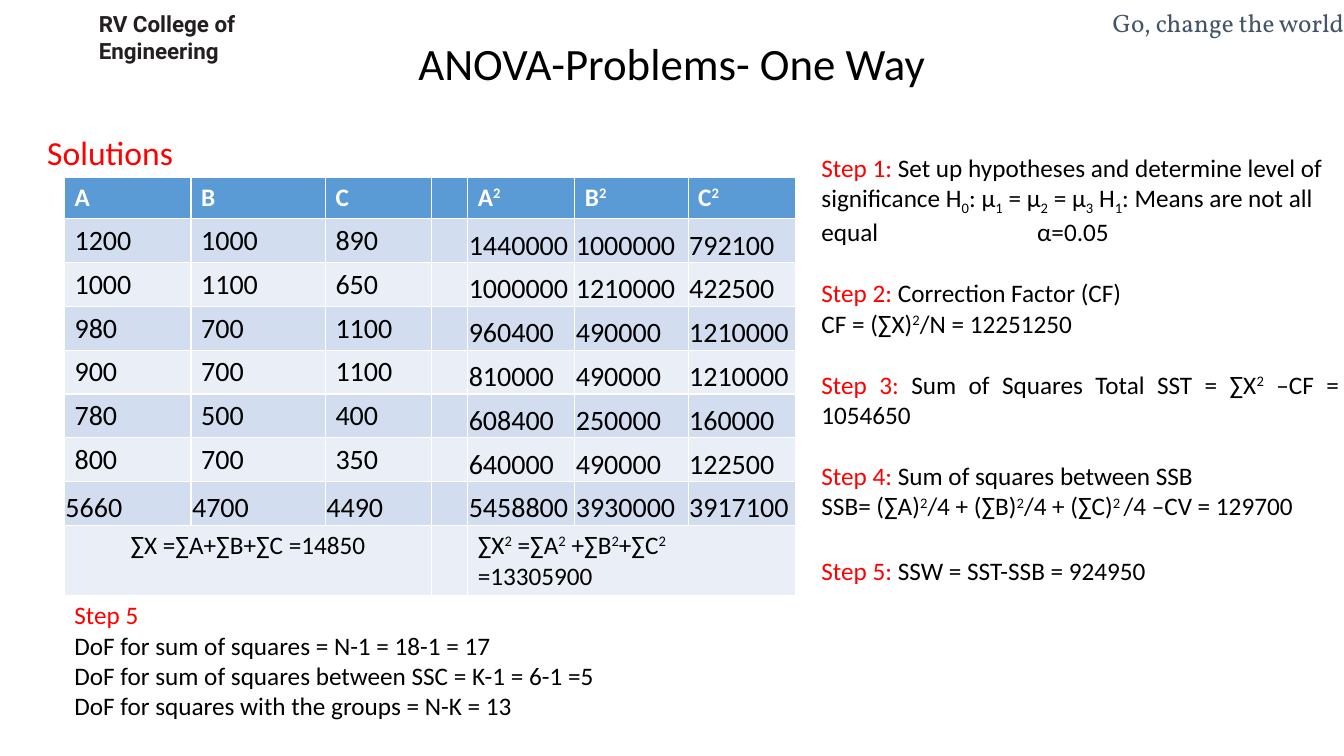
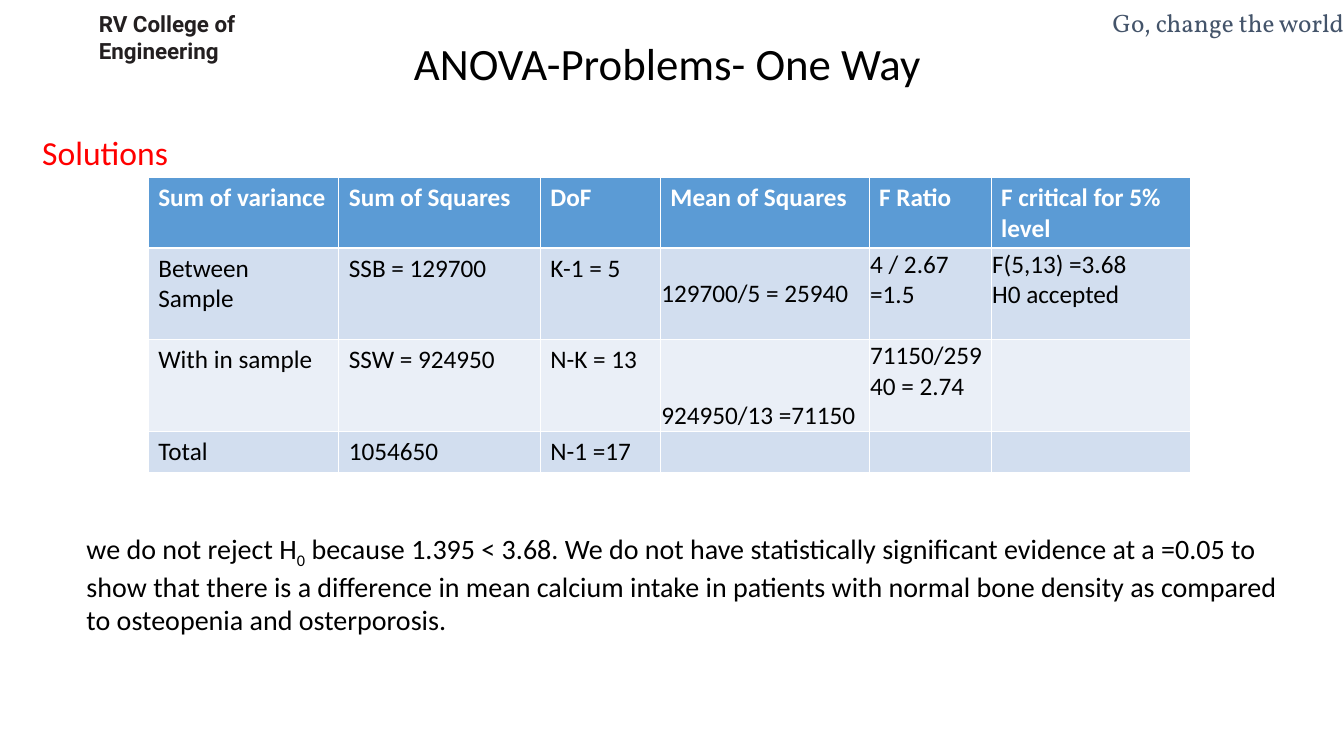
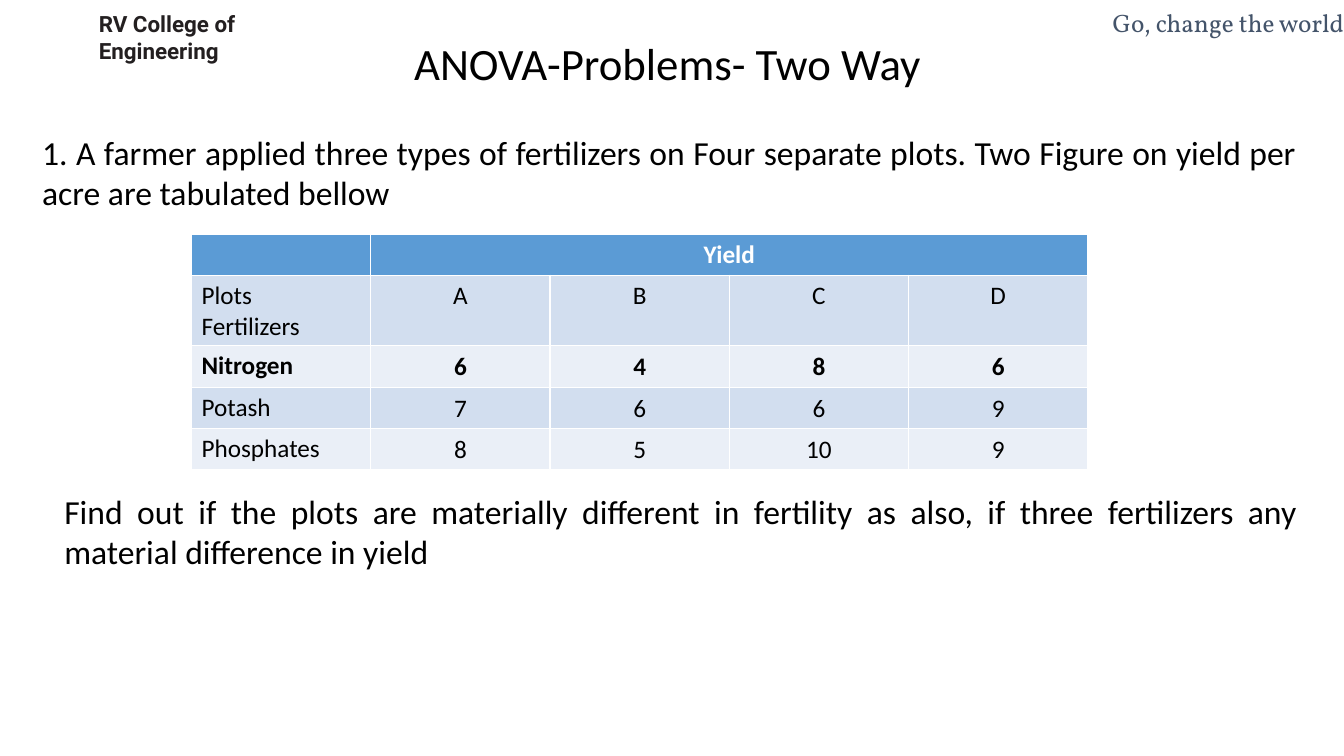
from dataclasses import dataclass
from itertools import product

from lxml.etree import SubElement
from pptx import Presentation
from pptx.dml.color import RGBColor
from pptx.enum.text import MSO_ANCHOR, MSO_AUTO_SIZE, PP_ALIGN
from pptx.oxml.ns import qn
from pptx.util import Inches, Pt


@dataclass(frozen=True)
class Theme:
    ink: str = "000000"
    accent: str = "FF0000"
    brand: str = "231F20"
    slogan: str = "44546A"
    header: str = "5B9BD5"
    header_text: str = "FFFFFF"
    bands: tuple = ("EAEFF7", "D2DEEF")
    title: int = 32
    lead: int = 24
    large: int = 20
    body: int = 18
    small: int = 16


theme = Theme()
deck = Presentation()
deck.slide_width = Inches(13.33)
deck.slide_height = Inches(7.5)
column = deck.slide_width / 100
row = deck.slide_height / 100


def write(frame, text, size=theme.body, color=theme.ink, font="Calibri", bold=False,
          align=PP_ALIGN.LEFT, first_align=None, gaps=None, leading=None, tab=None):
    for number, line in enumerate(text.split("\n")):
        para = frame.add_paragraph() if number else frame.paragraphs[0]
        para.alignment = align if number or first_align is None else first_align
        if tab and "\t" in line:
            stops = SubElement(para._p.get_or_add_pPr(), qn("a:tabLst"))
            SubElement(stops, qn("a:tab"), pos=str(round(tab * column)), algn="l")
        if leading:
            para.line_spacing = Pt(leading)
        if gaps and number in gaps:
            para.space_before = Pt(gaps[number])
        for part in line.split("|"):
            if not part:
                continue
            mark = part[0] if part[0] in "^_!" else ""
            span = para.add_run()
            span.text = part[len(mark):]
            span.font.name = font
            span.font.size = Pt(size)
            span.font.bold = bold
            span.font.color.rgb = RGBColor.from_string(theme.accent if mark == "!" else color)
            if mark in ("^", "_"):
                span.font._element.set("baseline", "30000" if mark == "^" else "-25000")


def draw_table(page, lines, left, top, widths, heights, size=theme.body,
               tight=None, centered=(), bold_rows=(0,), merges=()):
    table = page.shapes.add_table(
        len(lines), len(widths), round(left * column), round(top * row),
        round(sum(widths) * column), round(sum(heights) * row)).table
    for index, width in enumerate(widths):
        table.columns[index].width = round(width * column)
    for index, height in enumerate(heights):
        table.rows[index].height = round(height * row)
    for line, start, end in merges:
        table.cell(line, start).merge(table.cell(line, end))
    for spot in product(range(len(lines)), range(len(widths))):
        cell = table.cell(*spot)
        line = spot[0]
        cell.fill.solid()
        cell.fill.fore_color.rgb = RGBColor.from_string(
            theme.bands[line % 2] if line else theme.header)
        if tight and spot in tight:
            cell.margin_left = cell.margin_right = cell.margin_top = Inches(0.01)
            cell.margin_bottom = 0
            cell.vertical_anchor = tight[spot]
        text = lines[line][spot[1]]
        if text:
            whole = line in (0, len(lines) - 1)
            write(cell.text_frame, text, size=theme.body if whole else size,
                  color=theme.ink if line else theme.header_text, bold=line in bold_rows,
                  align=PP_ALIGN.CENTER if spot in centered else PP_ALIGN.LEFT)


steps = "\n".join([
    "!Step 1: |Set up hypotheses and determine level of significance H|_0|: μ|_1| = μ|_2| = μ|_3"
    "| H|_1|: Means are not all equal\tα=0.05",
    "!Step 2: |Correction Factor (CF)",
    "CF = (∑X)|^2|/N = 12251250",
    "!Step 3: |Sum of Squares Total SST = ∑X|^2| –CF = 1054650",
    "!Step 4:| Sum of squares between SSB",
    "SSB= (∑A)|^2|/4 + (∑B)|^2|/4 + (∑C)|^2 |/4 –CV = 129700",
    "!Step 5:| SSW = SST-SSB = 924950",
])
freedom = "\n".join([
    "!Step 5",
    "DoF for sum of squares = N-1 = 18-1 = 17",
    "DoF for sum of squares between SSC = K-1 = 6-1 =5",
    "DoF for squares with the groups = N-K = 13",
])
conclusion = (
    "we do not reject H|_0| because 1.395 < 3.68. We do not have statistically significant evidence "
    "at a =0.05 to show that there is a difference in mean calcium intake in patients with normal "
    "bone density as compared to osteopenia and osterporosis.")
problem = ("1. A farmer applied three types of fertilizers on Four separate plots. "
           "Two Figure on yield per acre are tabulated bellow")
question = ("Find out if the plots are materially different in fertility as also, "
            "if three fertilizers any material difference in yield")

lead = dict(size=theme.lead, align=PP_ALIGN.JUSTIFY)
step_format = dict(align=PP_ALIGN.JUSTIFY, first_align=PP_ALIGN.LEFT, tab=16.05,
                   gaps={1: 22, 3: 22, 4: 22, 6: 25})
brand_format = dict(size=theme.small, color=theme.brand, font="Roboto", bold=True,
                    leading=17.9, gaps={1: 1.4})
slogan_format = dict(color=theme.slogan, font="Vollkorn", align=PP_ALIGN.RIGHT)
title_format = dict(size=theme.title, align=PP_ALIGN.CENTER)

contents = [
    ("ANOVA-Problems- One Way", 19.88, [
        ("!Solutions", (2.78, 16.8, 94.8, 6.67), lead),
        (steps, (60.38, 19.47, 39.98, 57.87), step_format),
        (freedom, (4.8, 78.67, 50.55, 17.47), {}),
    ]),
    ("ANOVA-Problems- One Way", 19.55, [
        ("!Solutions", (2.4, 16.8, 94.8, 6.67), lead),
        (conclusion, (5.7, 69.6, 91.5, 14.8), dict(size=theme.large)),
    ]),
    ("ANOVA-Problems- Two Way", 19.55, [
        (problem, (2.4, 16.8, 94.8, 12.13), lead),
        (question, (4.05, 64.27, 93.23, 12.13), lead),
    ]),
]

pages = []
for title, title_left, texts in contents:
    page = deck.slides.add_slide(deck.slide_layouts[6])
    pages.append(page)
    banner = [
        ("RV College of\nEngineering", (7.35, 1.33, 11.25, 7.2), brand_format),
        ("Go, change the world", (69.83, 0.93, 30.17, 6.8), slogan_format),
    ]
    heading = (title, (title_left, 4, 60.23, 8.53), title_format)
    for text, (left, top, width, height), style in banner + [heading] + texts:
        box = page.shapes.add_textbox(round(left * column), round(top * row),
                                      round(width * column), round(height * row))
        frame = box.text_frame
        frame.word_wrap = True
        frame.auto_size = MSO_AUTO_SIZE.SHAPE_TO_FIT_TEXT
        if style in (brand_format, slogan_format):
            frame.margin_left = frame.margin_right = frame.margin_bottom = 0
            frame.margin_top = Inches(0.02) if style is brand_format else 0
        write(frame, text, **style)

squares_page, variance_page, yield_page = pages

samples = [(1200, 1000, 890), (1000, 1100, 650), (980, 700, 1100),
           (900, 700, 1100), (780, 500, 400), (800, 700, 350)]
square_lines = [["A", "B", "C", "", "A|^2", "B|^2", "C|^2"]]
for sample in samples:
    square_lines.append([str(value) for value in sample] + [""]
                        + [str(value ** 2) for value in sample])
square_lines.append(["5660", "4700", "4490", "", "5458800", "3930000", "3917100"])
square_lines.append(["∑X =∑A+∑B+∑C =14850", "", "", "",
                     "∑X|^2| =∑A|^2| +∑B|^2|+∑C|^2| =13305900", "", ""])
square_tight = {spot: MSO_ANCHOR.BOTTOM for spot in product(range(1, 8), range(7))
                if spot[1] > 3 or (spot[0] == 7 and spot[1] < 3)}
draw_table(squares_page, square_lines, 4.8, 23.47,
           [9.42, 10, 7.89, 2.7, 7.97, 8.43, 8], [5.47] + [5.8] * 7 + [9.33],
           size=theme.large, tight=square_tight, centered=[(8, 0)],
           merges=[(8, 0, 2), (8, 4, 6)])

variance_lines = [
    ["Sum of variance", "Sum of Squares", "DoF", "Mean of Squares", "F Ratio",
     "F critical for 5% level"],
    ["Between Sample", "SSB = 129700", "K-1 = 5", "129700/5 = 25940", "4 / 2.67 =1.5",
     "F(5,13) =3.68\nH0 accepted"],
    ["With in sample", "SSW = 924950", "N-K = 13", "924950/13 =71150", "71150/25940 = 2.74", ""],
    ["Total", "1054650", "N-1 =17", "", "", ""],
]
variance_tight = {(1, 3): MSO_ANCHOR.MIDDLE, (2, 3): MSO_ANCHOR.BOTTOM,
                  (1, 4): MSO_ANCHOR.TOP, (2, 4): MSO_ANCHOR.TOP, (1, 5): MSO_ANCHOR.TOP}
draw_table(variance_page, variance_lines, 11.03, 23.47,
           [14.18, 15, 8.93, 15.53, 9.08, 14.85], [9.33, 12.13, 12.13, 5.47],
           tight=variance_tight)

yield_lines = [
    ["", "Yield", "", "", ""],
    ["Plots\nFertilizers", "A", "B", "C", "D"],
    ["Nitrogen", "6", "4", "8", "6"],
    ["Potash", "7", "6", "6", "9"],
    ["Phosphates", "8", "5", "10", "9"],
]
yield_tight = {spot: MSO_ANCHOR.MIDDLE for spot in product(range(2, 5), range(1, 5))}
draw_table(yield_page, yield_lines, 14.25, 31.07, [13.34] * 5, [5.33, 9.2] + [5.47] * 3,
           tight=yield_tight, centered=list(product(range(5), range(1, 5))),
           bold_rows=(0, 2), merges=[(0, 1, 4)])

deck.save("out.pptx")
